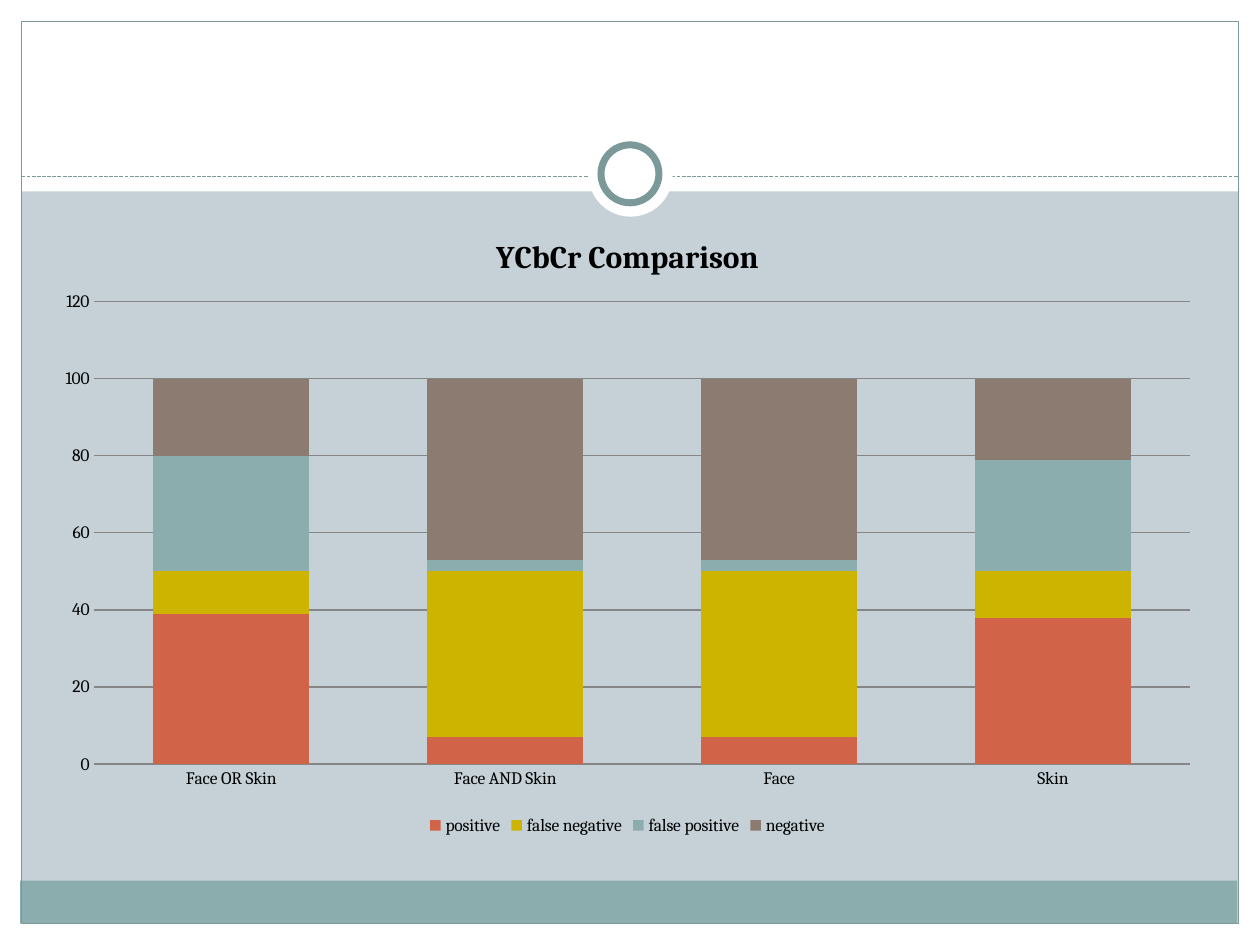
from lxml import etree
from pptx import Presentation
from pptx.chart.data import CategoryChartData
from pptx.dml.color import RGBColor
from pptx.enum import chart as ch, dml, shapes
from pptx.oxml.ns import qn
from pptx.util import Inches, Pt

WHITE, TEAL, FRAME, GRID = "FFFFFF", "8CADAE", "7C999A", "868686"


def rgb(value):
    return RGBColor.from_string(value)


def add_panel(kind, box, fill=None, line=None, width=0.75):
    """Add a preset shape; a missing fill or line colour means none."""
    panel = slide.shapes.add_shape(kind, *map(Inches, box))
    panel.shadow.inherit = False
    if fill:
        panel.fill.solid()
        panel.fill.fore_color.rgb = rgb(fill)
    else:
        panel.fill.background()
    if line:
        panel.line.color.rgb = rgb(line)
        panel.line.width = Pt(width)
    else:
        panel.line.fill.background()


prs = Presentation()
prs.slide_width, prs.slide_height = Inches(10), Inches(7.5)
slide = prs.slides.add_slide(prs.slide_layouts[6])
slide.background.fill.solid()
slide.background.fill.fore_color.rgb = rgb("C5D1D7")

# White margins, footer band and frame
rect, oval = shapes.MSO_SHAPE.RECTANGLE, shapes.MSO_SHAPE.OVAL
for margin in [(0, 7.33, 10, 0.17), (0, 0, 10, 1.52),
               (0, 0, 0.17, 7.5), (9.83, 0, 0.17, 7.5)]:
    add_panel(rect, margin, WHITE)
add_panel(rect, (0.16, 6.99, 9.66, 0.34), TEAL)
add_panel(rect, (0.17, 0.17, 9.66, 7.16), line=FRAME)

# Dashed divider with the ring on it
divider = slide.shapes.add_connector(
    shapes.MSO_CONNECTOR.STRAIGHT, Inches(0.17), Inches(1.4), Inches(9.83), Inches(1.4))
divider.line.color.rgb = rgb(FRAME)
divider.line.width = Pt(0.75)
divider.line.dash_style = dml.MSO_LINE.SQUARE_DOT
etree.SubElement(divider._element.spPr, qn("a:effectLst"))
add_panel(oval, (4.67, 1.05, 0.67, 0.67), WHITE)
add_panel(oval, (4.77, 1.15, 0.46, 0.46), WHITE, FRAME, 4)

# Stacked chart
results = [
    ("positive", "D16349", (39, 7, 7, 38)),
    ("false negative", "CCB400", (11, 43, 43, 12)),
    ("false positive", TEAL, (30, 3, 3, 29)),
    ("negative", "8C7B70", (20, 47, 47, 21)),
]
data = CategoryChartData()
data.categories = ["Face OR Skin", "Face AND Skin", "Face", "Skin"]
for name, _, values in results:
    data.add_series(name, values)
chart = slide.shapes.add_chart(
    ch.XL_CHART_TYPE.COLUMN_STACKED, Inches(0.33), Inches(1.67), Inches(9.3), Inches(5),
    data).chart
chart.font.name = "Cambria"
chart.font.size = Pt(10)
chart.font.color.rgb = rgb("000000")

chart.has_title = True
chart.chart_title.include_in_layout = False
chart.chart_title.text_frame.text = "YCbCr Comparison"
title_font = chart.chart_title.text_frame.paragraphs[0].font
title_font.name = "Cambria"
title_font.size = Pt(18)
title_font.bold = True
title_font.color.rgb = rgb("000000")

chart.has_legend = True
chart.legend.position = ch.XL_LEGEND_POSITION.BOTTOM
chart.legend.include_in_layout = False

plot = chart.plots[0]
plot.gap_width, plot.overlap = 75, 100
plot.vary_by_categories = False
for series, (_, color, _) in zip(plot.series, results):
    series.format.fill.solid()
    series.format.fill.fore_color.rgb = rgb(color)

# Fixed inner plot area, as fractions of the chart
plot_area = chart._chartSpace.chart.plotArea
for old_layout in plot_area.findall(qn("c:layout")):
    plot_area.remove(old_layout)
layout = etree.Element(qn("c:layout"))
manual = etree.SubElement(layout, qn("c:manualLayout"))
for tag, value in [("layoutTarget", "inner"), ("xMode", "edge"), ("yMode", "edge"),
                   ("x", "0.045"), ("y", "0.145"), ("w", "0.935"), ("h", "0.734")]:
    etree.SubElement(manual, qn(f"c:{tag}")).set("val", value)
plot_area.insert(0, layout)

for axis in (chart.category_axis, chart.value_axis):
    axis.major_tick_mark = axis.minor_tick_mark = ch.XL_TICK_MARK.NONE
value_axis = chart.value_axis
value_axis.minimum_scale, value_axis.maximum_scale, value_axis.major_unit = 0, 120, 20
value_axis.format.line.fill.background()
value_axis.has_major_gridlines = True
for rule in (value_axis.major_gridlines.format.line, chart.category_axis.format.line):
    rule.color.rgb = rgb(GRID)
    rule.width = Pt(0.75)

prs.save("out.pptx")
